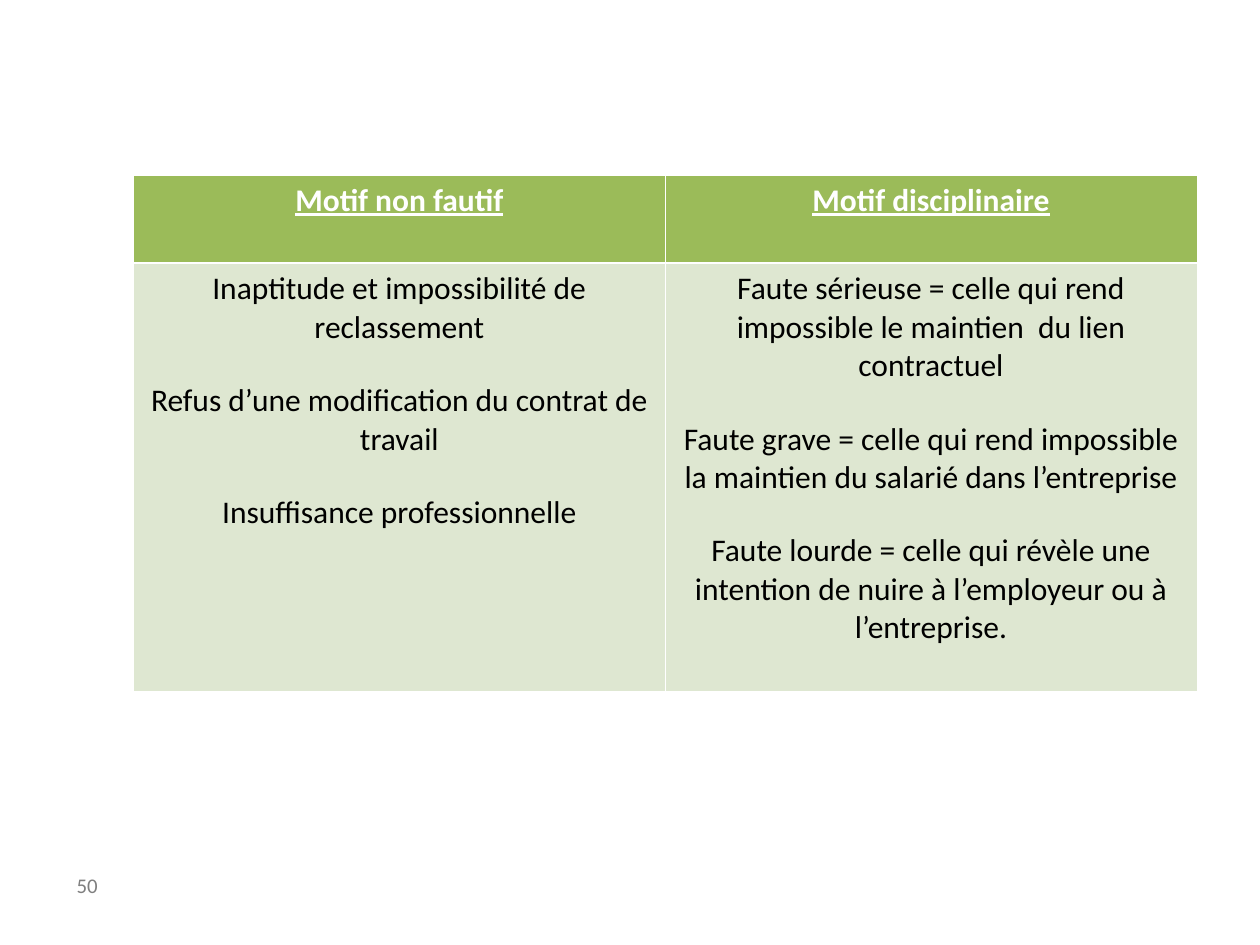
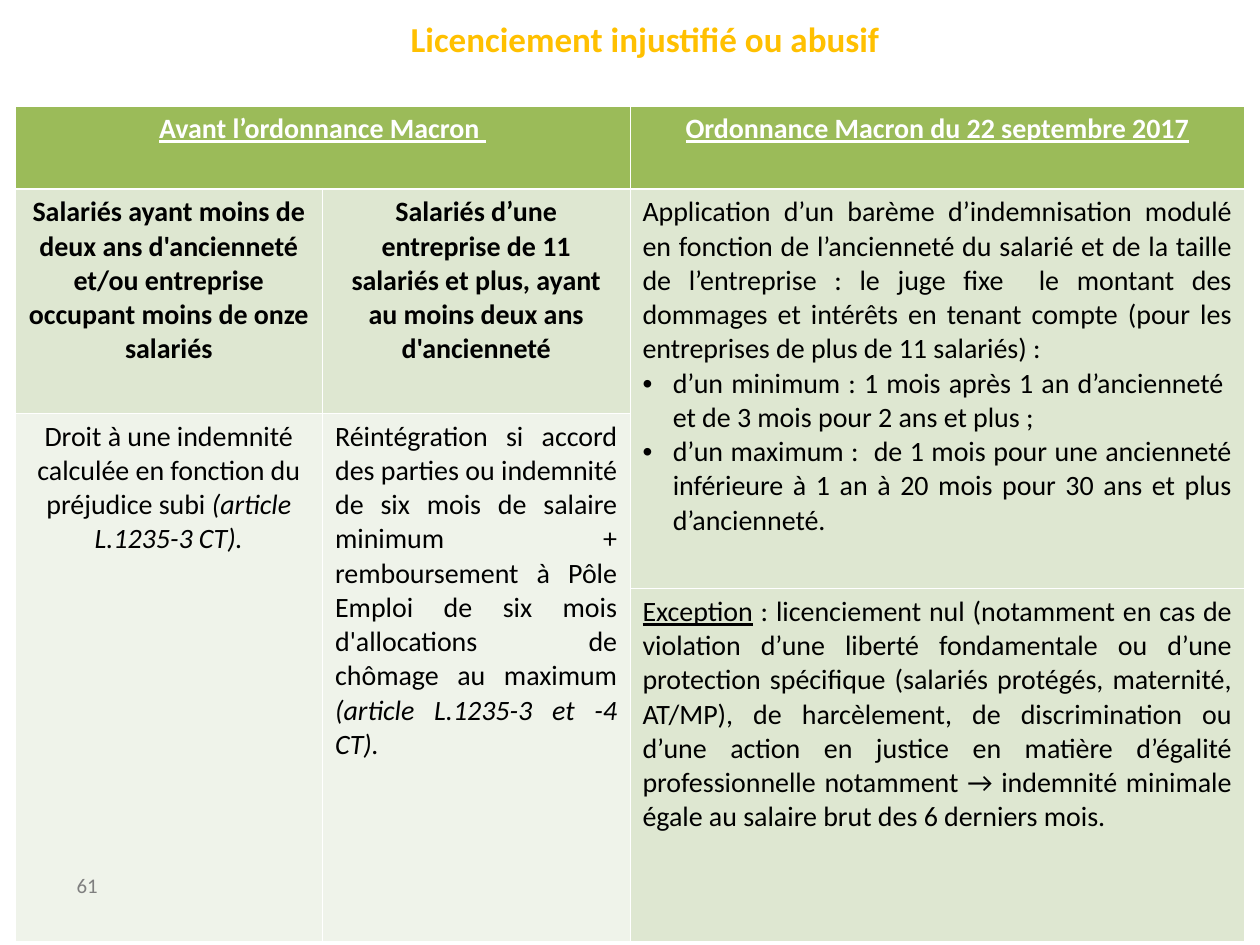
from dataclasses import dataclass

import pptx
import pptx.dml.color
import pptx.enum.text
import pptx.oxml
import pptx.oxml.ns
import pptx.util
from pptx.util import Inches, Pt

COLORS = {"header": "9BBB59", "band": "DEE7D1", "light": "EFF3EA", "white": "FFFFFF",
          "black": "000000", "gray": "7F7F7F", "title": "FFC000"}
FONT = "Calibri"
ALIGN = pptx.enum.text.PP_ALIGN
CENTER, JUSTIFY = ALIGN.CENTER, ALIGN.JUSTIFY
THIN, THICK = 0.45, 1.47


@dataclass
class Run:
    text: str
    bold: bool = False
    italic: bool = False
    underline: bool = False


@dataclass
class Para:
    runs: list[Run]
    align: int = CENTER
    bullet: bool = False
    before: float = 0


@dataclass
class Cell:
    row: int
    col: int
    paras: list[Para]
    fill: str = "band"
    color: str = "black"
    rows: int = 1
    cols: int = 1


@dataclass
class Grid:
    left: float
    top: float
    col_widths: list[float]
    row_heights: list[float]
    size: float
    cells: list[Cell]


def rgb(name: str) -> pptx.dml.color.RGBColor:
    return pptx.dml.color.RGBColor.from_string(COLORS[name])


def add_bullet(p) -> None:
    pPr = p._p.get_or_add_pPr()
    pPr.set("marL", str(Inches(0.24)))
    pPr.set("indent", str(-Inches(0.24)))
    ns = pptx.oxml.ns.nsdecls("a")
    pPr.append(pptx.oxml.parse_xml(f'<a:buFont {ns} typeface="Arial"/>'))
    pPr.append(pptx.oxml.parse_xml(f'<a:buChar {ns} char="•"/>'))


def write(tf, paras: list[Para], size: float, color: str, line_spacing: float = 1.0) -> None:
    for i, para in enumerate(paras):
        p = tf.paragraphs[0] if i == 0 else tf.add_paragraph()
        p.alignment = para.align
        p.line_spacing = line_spacing
        if para.before:
            p.space_before = Pt(para.before)
        if para.bullet:
            add_bullet(p)
        for run in para.runs:
            r = p.add_run()
            r.text = run.text
            r.font.name, r.font.size = FONT, Pt(size)
            r.font.bold, r.font.italic, r.font.underline = run.bold, run.italic, run.underline
            r.font.color.rgb = rgb(color)


def add_text(slide, box: tuple[float, float, float, float], para: Para,
             size: float, color: str) -> None:
    tf = slide.shapes.add_textbox(*map(Inches, box)).text_frame
    tf.word_wrap = True
    write(tf, [para], size, color, line_spacing=0.9)


def set_borders(cell, row: int) -> None:
    """White rules, heavier between the header and the body."""
    widths = {"lnL": THIN, "lnR": THIN, "lnT": THICK if row == 1 else THIN,
              "lnB": THICK if row == 0 else THIN}
    tcPr = cell._tc.get_or_add_tcPr()
    for tag, width in widths.items():
        tcPr.append(pptx.oxml.parse_xml(
            f'<a:{tag} {pptx.oxml.ns.nsdecls("a")} w="{Pt(width)}"><a:solidFill>'
            f'<a:srgbClr val="{COLORS["white"]}"/></a:solidFill></a:{tag}>'))


def add_grid(slide, grid: Grid) -> None:
    tbl = slide.shapes.add_table(
        len(grid.row_heights), len(grid.col_widths), Inches(grid.left), Inches(grid.top),
        Inches(sum(grid.col_widths)), Inches(sum(grid.row_heights))).table
    tbl.horz_banding = False
    for column, width in zip(tbl.columns, grid.col_widths):
        column.width = Inches(width)
    for row, height in zip(tbl.rows, grid.row_heights):
        row.height = Inches(height)
    for c in grid.cells:
        for i in range(c.row, c.row + c.rows):
            for j in range(c.col, c.col + c.cols):
                cell = tbl.cell(i, j)
                set_borders(cell, i)
                cell.fill.solid()
                cell.fill.fore_color.rgb = rgb(c.fill)
        origin = tbl.cell(c.row, c.col)
        if c.rows * c.cols > 1:
            origin.merge(tbl.cell(c.row + c.rows - 1, c.col + c.cols - 1))
        write(origin.text_frame, c.paras, grid.size, c.color)


def header(col: int, text: str, cols: int = 1) -> Cell:
    return Cell(0, col, [Para([Run(text, bold=True, underline=True)])],
                "header", "white", cols=cols)


def spaced(texts: list[str]) -> list[Para]:
    return [Para([Run(text)], before=20 if i else 0) for i, text in enumerate(texts)]


def add_slide(prs, grid: Grid, number: str, title: str = "") -> None:
    slide = prs.slides.add_slide(prs.slide_layouts[6])
    add_grid(slide, grid)
    add_text(slide, (0.51, 6.9, 1.23, 0.32), Para([Run(number)], ALIGN.LEFT), 11.9, "gray")
    if title:
        add_text(slide, (0.9, 0.13, 8.44, 0.79), Para([Run(title, bold=True)]), 20, "title")


# Grounds for dismissal
GROUNDS = Grid(1.06, 1.39, [4.22] * 2, [0.7, 3.4], 18, [
    header(0, "Motif non fautif"),
    header(1, "Motif disciplinaire"),
    Cell(1, 0, spaced([
        "Inaptitude et impossibilité de reclassement",
        "Refus d’une modification du contrat de travail",
        "Insuffisance professionnelle"])),
    Cell(1, 1, spaced([
        "Faute sérieuse = celle qui rend impossible le maintien  du lien contractuel",
        "Faute grave = celle qui rend impossible la maintien du salarié dans l’entreprise",
        "Faute lourde = celle qui révèle une intention de nuire à l’employeur ou à "
        "l’entreprise."])),
])

# Compensation before and after the 2017 reform
COMPENSATION = Grid(0.12, 0.84, [2.44, 2.44, 4.88], [0.66, 1.78, 1.39, 2.8], 16, [
    header(0, "Avant l’ordonnance Macron ", cols=2),
    header(2, "Ordonnance Macron du 22 septembre 2017"),
    Cell(1, 0, [Para([Run("Salariés ayant moins de deux ans d'ancienneté et/ou entreprise "
                          "occupant moins de onze salariés", bold=True)])]),
    Cell(1, 1, [Para([Run("Salariés d’une entreprise de 11 salariés et plus, ayant au moins "
                          "deux ans d'ancienneté", bold=True)])]),
    Cell(1, 2, [
        Para([Run("Application d’un barème d’indemnisation modulé en fonction de l’ancienneté "
                  "du salarié et de la taille de l’entreprise : le juge fixe  le montant des "
                  "dommages et intérêts en tenant compte (pour les entreprises de plus de 11 "
                  "salariés) :")], JUSTIFY),
        Para([Run("d’un minimum : 1 mois après 1 an d’ancienneté  et de 3 mois pour 2 ans "
                  "et plus ;")], JUSTIFY, bullet=True),
        Para([Run("d’un maximum :  de 1 mois pour une ancienneté inférieure à 1 an à 20 mois "
                  "pour 30 ans et plus d’ancienneté.")], JUSTIFY, bullet=True),
    ], rows=2),
    Cell(2, 0, [Para([
        Run("Droit à une indemnité calculée en fonction du préjudice subi "),
        Run("(article L.1235-3 CT).", italic=True)])], "light", rows=2),
    Cell(2, 1, [Para([
        Run("Réintégration si accord des parties ou indemnité de six mois de salaire minimum + "
            "remboursement à Pôle Emploi de six mois d'allocations de chômage au maximum "),
        Run("(article L.1235-3 et -4 CT).", italic=True)], JUSTIFY)], "light", rows=2),
    Cell(3, 2, [Para([
        Run("Exception", underline=True),
        Run(" : licenciement nul (notamment en cas de violation d’une liberté fondamentale ou "
            "d’une protection spécifique (salariés protégés, maternité, AT/MP), de harcèlement, "
            "de discrimination ou d’une action en justice en matière d’égalité professionnelle "
            "notamment → indemnité minimale égale au salaire brut des 6 derniers mois."),
    ], JUSTIFY)]),
])


def main() -> None:
    prs = pptx.Presentation()
    prs.slide_width, prs.slide_height = Inches(10), Inches(7.5)
    add_slide(prs, GROUNDS, "50")
    add_slide(prs, COMPENSATION, "61", "Licenciement injustifié ou abusif")
    prs.save("out.pptx")


if __name__ == "__main__":
    main()
